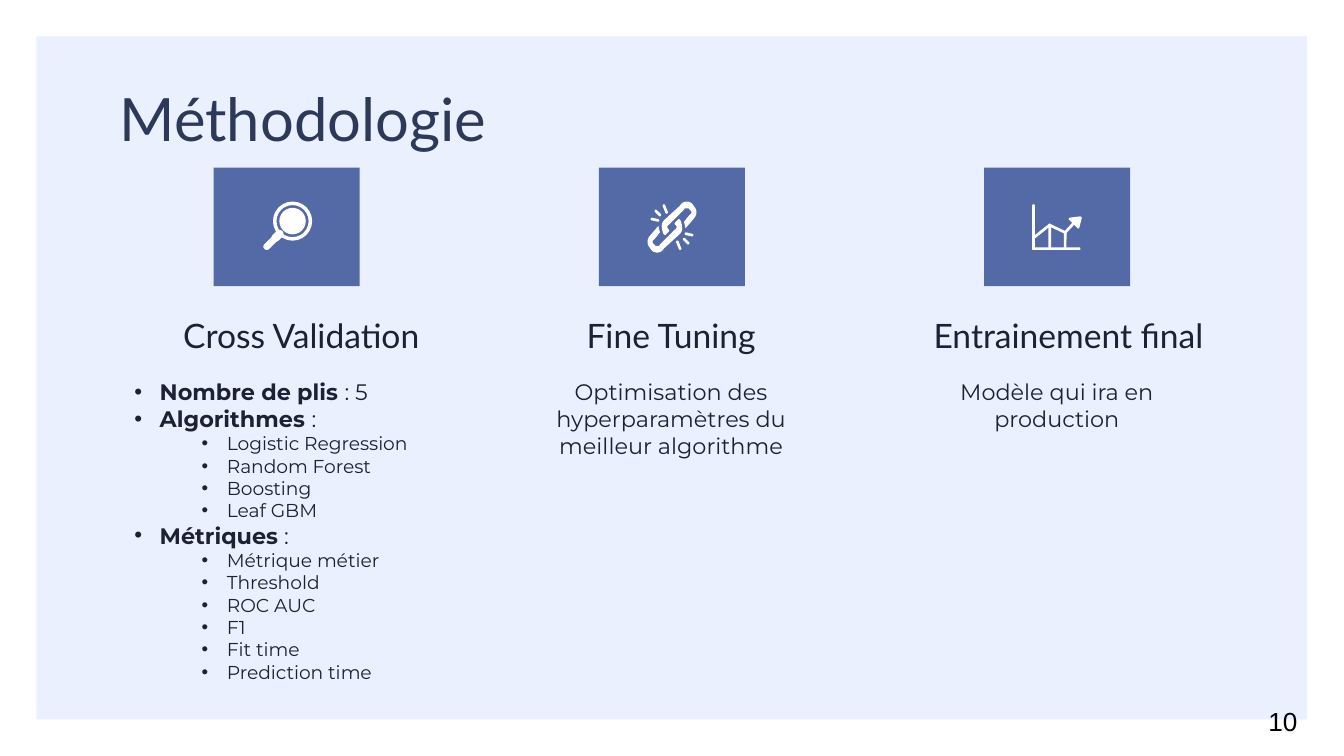
import math
import pptx
import pptx.util
import pptx.dml.color
import pptx.enum.shapes
import pptx.enum.text
import pptx.oxml
import pptx.oxml.ns

Cm = pptx.util.Cm
SHAPE = pptx.enum.shapes.MSO_SHAPE
ALIGN = pptx.enum.text.PP_ALIGN
ANCHOR = pptx.enum.text.MSO_ANCHOR

# Content: paragraphs are (level, bold part, plain part); level None has no bullet
TITLE = "Méthodologie"
PAGE_NUMBER = "10"
ALGORITHMS = ["Logistic Regression", "Random Forest", "Boosting", "Leaf GBM"]
METRICS = ["Métrique métier", "Threshold", "ROC AUC", "F1", "Fit time", "Prediction time"]
VALIDATION = [
    (0, "Nombre de plis ", ": 5"),
    (0, "Algorithmes ", ":"),
    *[(1, "", name) for name in ALGORITHMS],
    (0, "Métriques", " :"),
    *[(1, "", name) for name in METRICS],
]
# Each column: heading, heading (left, width), paragraphs, body (left, width, height)
COLUMNS = [
    ("Cross Validation", (2.29, 6.81), VALIDATION, (2.29, 6.63, 6.4)),
    ("Fine Tuning", (9.55, 6.27),
     [(None, "", "Optimisation des hyperparamètres du meilleur algorithme")],
     (9.55, 6.27, 2.03)),
    ("Entrainement final", (16.41, 7.57),
     [(None, "", "Modèle qui ira en production")], (16.84, 6.27, 2.03)),
]

# Formats
PANEL, TILE, WHITE = "EBF0FF", "536AA6", "FFFFFF"
TITLE_FONT = {"name": "Lato", "size": 32, "color": "2D3959"}
HEAD_FONT = {"name": "Lato", "size": 18, "color": "1B2235"}
BODY_FONT = {"name": "Montserrat", "size": 12, "color": "1B2235"}
ITEM_FONT = {**BODY_FONT, "size": 10}
NUMBER_FONT = {"name": "Arial", "size": 14, "color": "000000"}
INSET = 0.25
INDENT, HANGING, LEVEL_STEP = 0.48, -0.48, 1.27

# Icon parts, in units of 0.0254 cm; strokes are (start, end, thickness)
UNIT = 0.0254
HANDLE = [((198.5, 183.5), (205, 177), 5), ((205, 177), (208, 174), 6)]
LINK = """M 511 150 C 509 150 507 151 506 153 L 494 164 C 492 166 492 169 493 172
 C 493 173 494 175 495 175 L 498 172 C 498 172 498 172 498 171
 C 496 170 496 168 498 167 L 509 156 C 509 155 510 155 511 155
 C 512 155 513 155 513 156 C 515 157 515 159 513 160 L 509 165
 C 509 166 510 168 510 170 L 516 163 C 519 160 519 156 516 153
 C 515 151 513 150 511 150"""
LINK_CENTER = (500, 169)
SPARKS = [((509, 178), (512, 181)), ((510.5, 174), (515, 175)), ((504, 180), (506, 185))]
AXES = [(769, 153), (769, 185), (803, 185)]
TREND = [(769, 177), (781, 167.5), (792.5, 173), (800, 165)]
ARROWHEAD = "M 795 163 L 796 162 L 804 161 L 805 162 L 803 170 L 802 170"

deck = pptx.Presentation()
deck.slide_width, deck.slide_height = Cm(25.4), Cm(14.29)
page = deck.slides.add_slide(deck.slide_layouts[6])


def rgb(value):
    return pptx.dml.color.RGBColor.from_string(value)


def paint(shape, color):
    shape.shadow.inherit = False
    shape.fill.solid()
    shape.fill.fore_color.rgb = rgb(color)
    shape.line.fill.background()
    return shape


def add_block(kind, color, *place):
    return paint(page.shapes.add_shape(kind, *map(Cm, place)), color)


def mirror(point):
    return tuple(2 * middle - value for middle, value in zip(LINK_CENTER, point))


def outline_points(outline):
    """List the points of an outline, with five steps along each curve."""
    points = []
    tokens = outline.split()
    while tokens:
        command = tokens.pop(0)
        count = 6 if command == "C" else 2
        values = [float(token) for token in tokens[:count]]
        del tokens[:count]
        if command != "C":
            points.append(tuple(values))
            continue
        ends = [points[-1], *zip(values[::2], values[1::2])]
        for step in range(1, 6):
            t = step / 5
            weights = [math.comb(3, i) * t**i * (1 - t)**(3 - i) for i in range(4)]
            points.append(tuple(sum(weight * end[axis] for weight, end in zip(weights, ends))
                                for axis in (0, 1)))
    return points


def add_outline(outline, change=tuple):
    points = [tuple(Cm(value * UNIT) for value in change(point))
              for point in outline_points(outline)]
    builder = page.shapes.build_freeform(*points[0], scale=1.0)
    builder.add_line_segments(points[1:], close=True)
    paint(builder.convert_to_shape(), WHITE)


def add_stroke(start, end, thickness=2):
    length = math.dist(start, end) + thickness
    left = (start[0] + end[0] - length) / 2
    top = (start[1] + end[1] - thickness) / 2
    place = [value * UNIT for value in (left, top, length, thickness)]
    stroke = add_block(SHAPE.ROUNDED_RECTANGLE, WHITE, *place)
    stroke.adjustments[0] = 0.5
    stroke.rotation = math.degrees(math.atan2(end[1] - start[1], end[0] - start[0]))


def add_bullet(para, level):
    para.level = level
    properties = para._p.get_or_add_pPr()
    properties.set("marL", str(Cm(INDENT + level * LEVEL_STEP)))
    properties.set("indent", str(Cm(HANGING)))
    space = pptx.oxml.ns.nsdecls("a")
    for markup in (f'<a:buClr {space}><a:srgbClr val="{BODY_FONT["color"]}"/></a:buClr>',
                   f'<a:buFont {space} typeface="Arial"/>',
                   f'<a:buChar {space} char="•"/>'):
        properties.append(pptx.oxml.parse_xml(markup))


def add_text(paragraphs, font, place, align=ALIGN.LEFT, anchor=ANCHOR.TOP, inset=INSET):
    frame = page.shapes.add_textbox(*map(Cm, place)).text_frame
    settings = {"word_wrap": True, "vertical_anchor": anchor,
                "margin_left": Cm(INSET), "margin_right": Cm(INSET),
                "margin_top": Cm(inset), "margin_bottom": Cm(inset)}
    for name, value in settings.items():
        setattr(frame, name, value)
    for index, (level, strong, plain) in enumerate(paragraphs):
        para = frame.add_paragraph() if index else frame.paragraphs[0]
        para.alignment = align
        if level is not None:
            add_bullet(para, level)
        look = ITEM_FONT if level == 1 else font
        for text, bold in ((strong, True), (plain, False)):
            if text:
                span = para.add_run()
                span.text = text
                values = {"name": look["name"], "size": pptx.util.Pt(look["size"]), "bold": bold}
                for name, value in values.items():
                    setattr(span.font, name, value)
                span.font.color.rgb = rgb(look["color"])


# Panel and title
add_block(SHAPE.RECTANGLE, PANEL, 0.69, 0.69, 24.01, 12.91)
add_text([(None, "", TITLE)], TITLE_FONT, (2.01, 1.3, 21.41, 1.65))

# Three columns: tile, heading and body
for index, (heading, (left, width), paragraphs, (body_left, body_width, height)) in enumerate(COLUMNS):
    add_block(SHAPE.RECTANGLE, TILE, 4.04 + index * 7.28, 3.17, 2.76, 2.24)
    add_text([(None, "", heading)], HEAD_FONT, (left, 5.49, width, 1.47),
             ALIGN.CENTER, ANCHOR.BOTTOM)
    align = ALIGN.CENTER if paragraphs[0][0] is None else ALIGN.LEFT
    add_text(paragraphs, BODY_FONT, (body_left, 6.9, body_width, height), align)

# Magnifier
ring = add_block(SHAPE.DONUT, WHITE, 5.16, 3.81, 0.74, 0.74)
ring.adjustments[0] = 0.09
add_block(SHAPE.OVAL, WHITE, 5.28, 3.93, 0.5, 0.5)
for stroke in HANDLE:
    add_stroke(*stroke)

# Chain with sparks: one half and its mirror
for change in (tuple, mirror):
    add_outline(LINK, change)
    for start, end in SPARKS:
        add_stroke(change(start), change(end))

# Rising graph
for line in (AXES, TREND):
    for start, end in zip(line, line[1:]):
        add_stroke(start, end)
for point in TREND[1:3]:
    add_stroke(point, (point[0], AXES[1][1]))
add_outline(ARROWHEAD)

# Page number
add_text([(None, "", PAGE_NUMBER)], NUMBER_FONT, (23.72, 13.21, 1.68, 0.86), inset=0.13)

deck.save("out.pptx")
